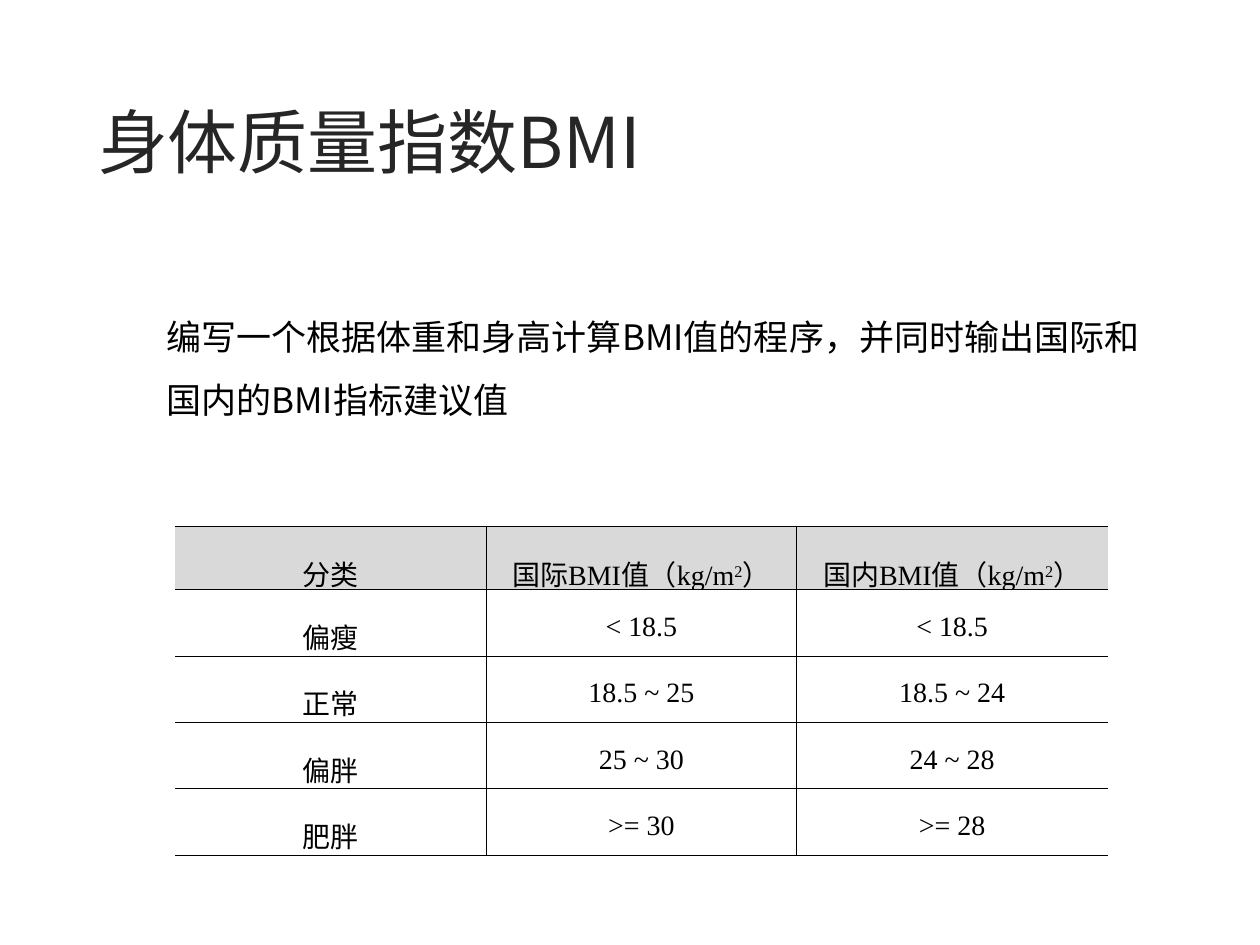
from lxml.etree import SubElement
from pptx import Presentation
from pptx.dml.color import RGBColor
from pptx.enum.text import MSO_ANCHOR, PP_ALIGN
from pptx.oxml import parse_xml
from pptx.oxml.ns import nsdecls, qn
from pptx.util import Inches, Pt

SANS, SERIF = "Noto Sans CJK SC", "Times New Roman"


def color(value):
    return RGBColor.from_string(value)


def add_run(p, text, size, latin, value):
    r = p.add_run()
    r.text = text
    r.font.size = Pt(size)
    r.font.color.rgb = color(value)
    r.font.name = latin
    SubElement(r.font._element, qn("a:ea")).set("typeface", SANS)
    return r


prs = Presentation()
prs.slide_width, prs.slide_height = Inches(10), Inches(7.5)
W, H = prs.slide_width / 100, prs.slide_height / 100
s = prs.slides.add_slide(prs.slide_layouts[6])

title = s.shapes.add_textbox(int(6.8 * W), int(9.73 * H), int(47.1 * W), int(10.27 * H))
title.text_frame.word_wrap = False
r = add_run(title.text_frame.paragraphs[0], "身体质量指数BMI", 40, SANS, "262626")
r.font._element.find(qn("a:solidFill")).addnext(parse_xml(
    f'<a:effectLst {nsdecls("a")}><a:outerShdw blurRad="38100" dist="38100" dir="2700000">'
    '<a:srgbClr val="C0C0C0"/></a:outerShdw></a:effectLst>'))

rows = [
    ["分类", "国际BMI值（kg/m^2^）", "国内BMI值（kg/m^2^）"],
    ["偏瘦", "< 18.5", "< 18.5"],
    ["正常", "18.5 ~ 25", "18.5 ~ 24"],
    ["偏胖", "25 ~ 30", "24 ~ 28"],
    ["肥胖", ">= 30", ">= 28"],
]
heights = [6.6] + [7.02] * 4
frame = s.shapes.add_table(len(rows), 3, int(13.9 * W), int(55.73 * H),
                           int(74 * W), int(sum(heights) * H))
table = frame.table
table.first_row = table.horz_banding = False
for col in table.columns:
    col.width = int(74 * W / 3)

for i, row in enumerate(rows):
    table.rows[i].height = int(heights[i] * H)
    for j, text in enumerate(row):
        cell = table.cell(i, j)
        cell.margin_left = cell.margin_right = Inches(0.08)
        cell.margin_top = cell.margin_bottom = Inches(0.05)
        cell.fill.solid()
        cell.fill.fore_color.rgb = color("FFFFFF" if i else "D9D9D9")
        p = cell.text_frame.paragraphs[0]
        p.alignment = PP_ALIGN.CENTER
        p.line_spacing = 1.5
        for k, part in enumerate(text.split("^")):
            r = add_run(p, part, 16, SERIF, "000000")
            if k == 1:
                r.font._element.set("baseline", "30000")
        outer = {0: "L", 2: "R"}.get(j)
        for k, side in enumerate("LRTB"):
            paint = "<a:noFill/>" if side == outer else (
                '<a:solidFill><a:srgbClr val="000000"/></a:solidFill>')
            cell._tc.get_or_add_tcPr().insert(k, parse_xml(
                f'<a:ln{side} {nsdecls("a")} w="{Pt(0.45)}">{paint}</a:ln{side}>'))

task = s.shapes.add_textbox(int(12.2 * W), int(30.53 * H), int(79.5 * W), int(14.67 * H))
tf = task.text_frame
tf.word_wrap = True
tf.vertical_anchor = MSO_ANCHOR.MIDDLE
p = tf.paragraphs[0]
p.line_spacing = 1.5
add_run(p, "编写一个根据体重和身高计算BMI值的程序，并同时输出国际和国内的BMI指标建议值", 20, SANS, "000000")

prs.save("out.pptx")
